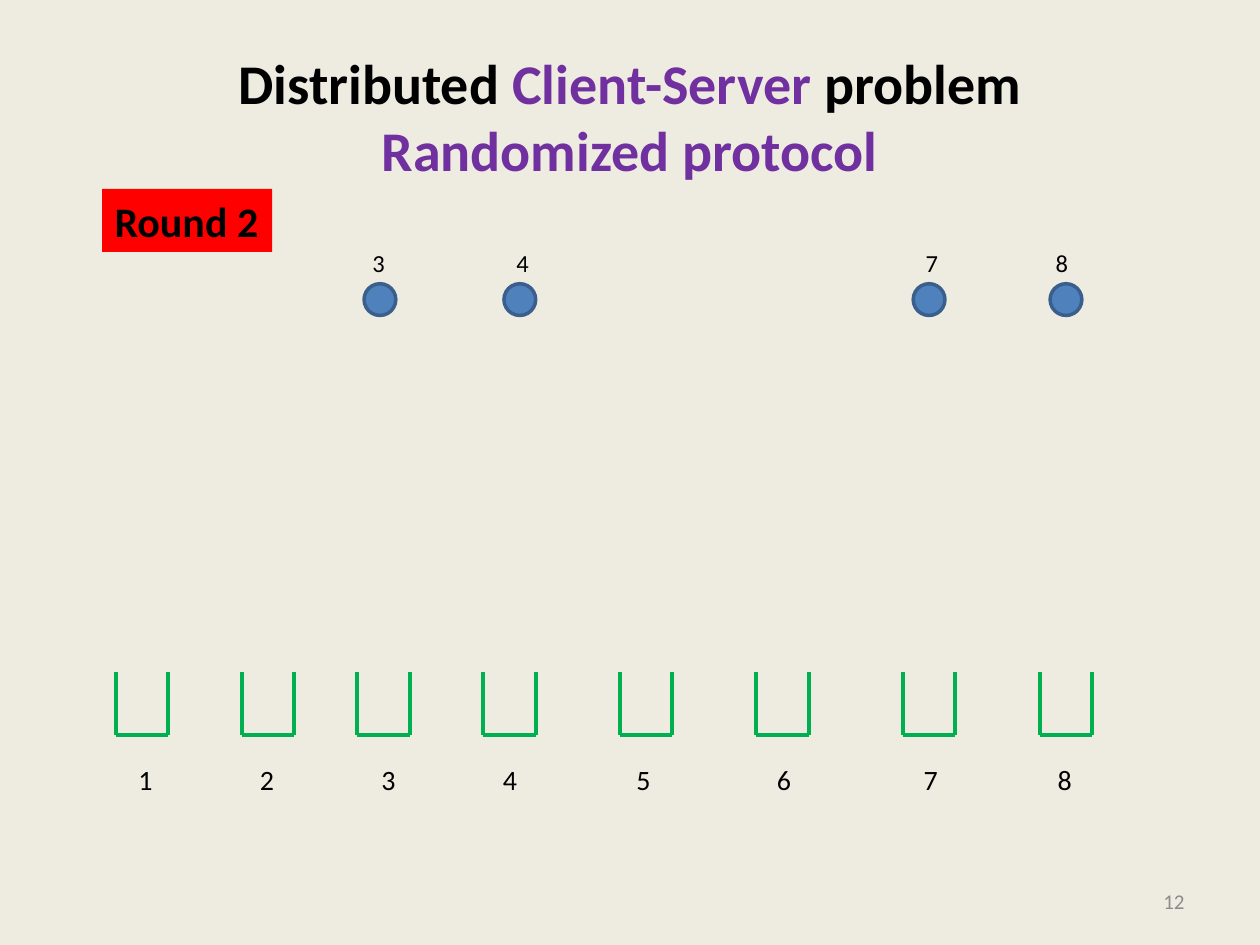
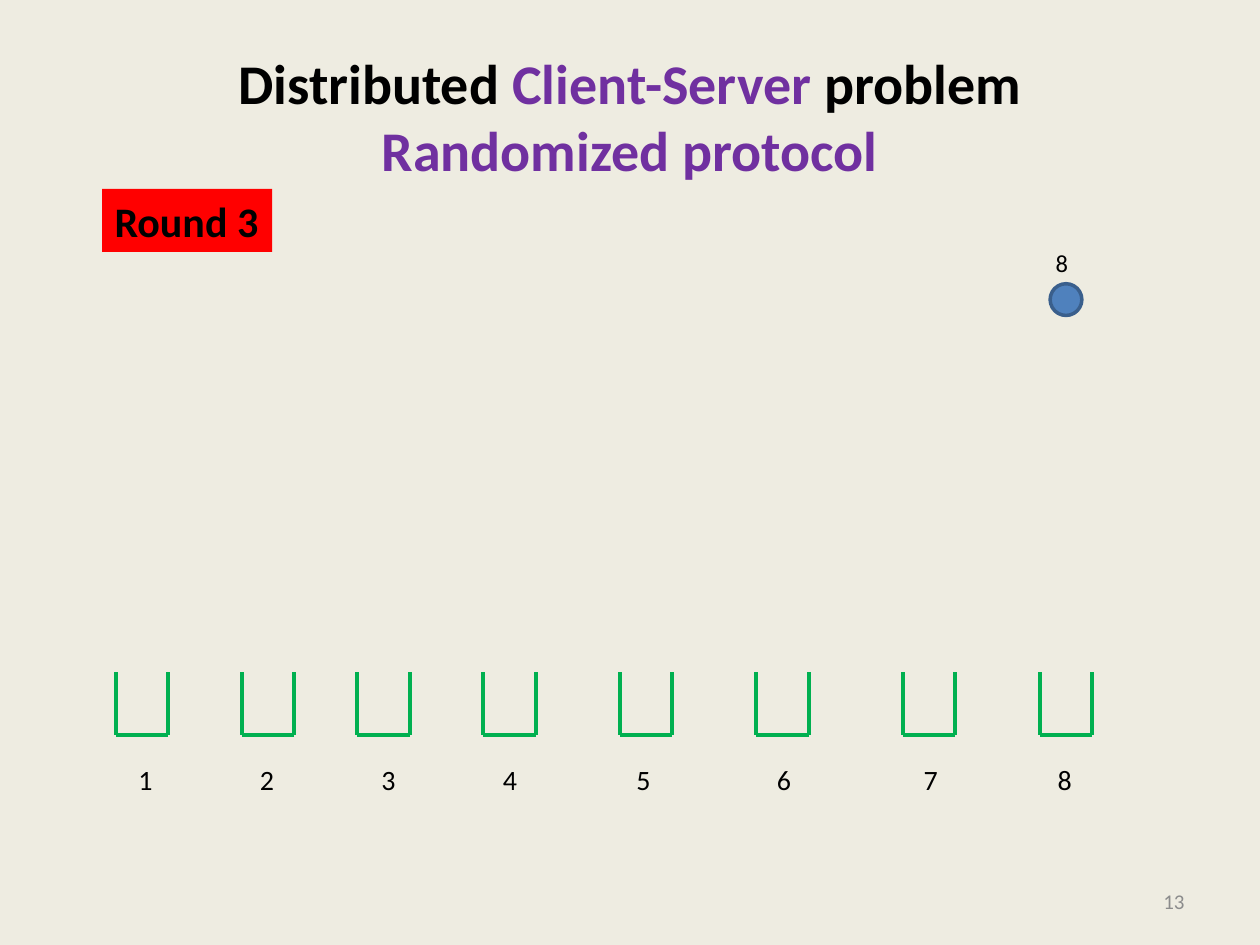
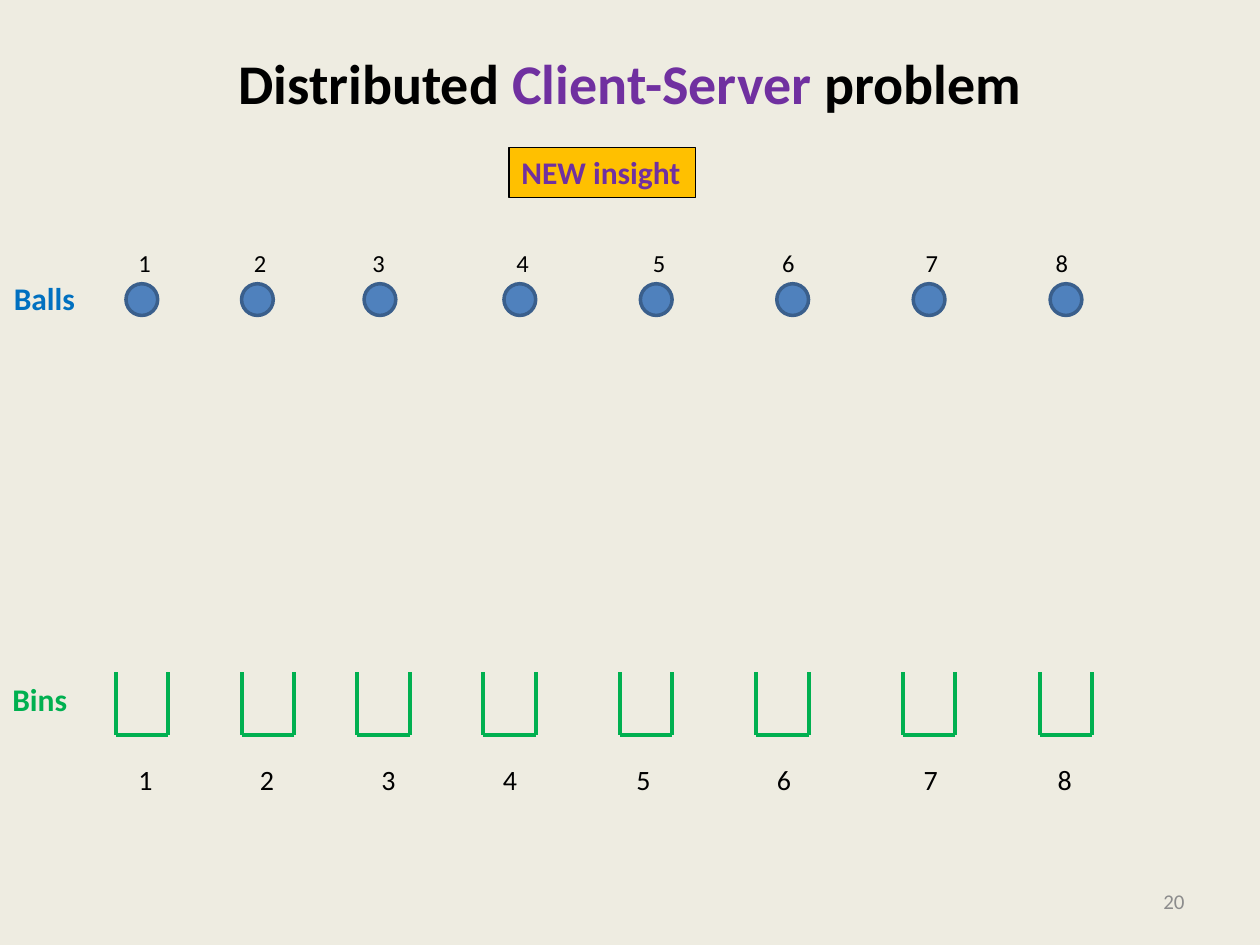
from dataclasses import dataclass
from typing import Any, NamedTuple

from lxml import etree
from pptx import Presentation
from pptx.dml.color import RGBColor
from pptx.enum.shapes import MSO_CONNECTOR, MSO_SHAPE
from pptx.enum.text import MSO_ANCHOR, MSO_AUTO_SIZE, PP_ALIGN
from pptx.oxml.ns import qn
from pptx.util import Cm, Pt

RECT, OVAL = MSO_SHAPE.RECTANGLE, MSO_SHAPE.OVAL
STRAIGHT = MSO_CONNECTOR.STRAIGHT
TOP, MIDDLE = MSO_ANCHOR.TOP, MSO_ANCHOR.MIDDLE
LEFT, CENTER, RIGHT = PP_ALIGN.LEFT, PP_ALIGN.CENTER, PP_ALIGN.RIGHT
FIT_SHAPE = MSO_AUTO_SIZE.SHAPE_TO_FIT_TEXT

FONT = "Calibri"
COLORS = {
    "background": "EEECE1", "text": "000000", "accent": "7030A0",
    "page": "8C8C8C", "ball": "4F81BD", "ball_line": "3A5F8C",
    "balls": "0070C0", "bin": "00B050", "round": "FF0000", "insight": "FFC000",
}

BALL_TOP, BALL_SIZE, BALL_LABEL_TOP = 5.72, 0.64, 4.87
BIN_TOP, BIN_WIDTH, BIN_HEIGHT = 13.55, 1.06, 1.27
BIN_LABELS_LEFT, BIN_LABELS_TOP = 2.54, 15.24


class Run(NamedTuple):
    text: str
    color: str = "text"


class Box(NamedTuple):
    """A rectangle in centimetres."""
    left: float
    top: float
    width: float
    height: float


class Column(NamedTuple):
    """Left edges of a ball, its label and a bin; tab stop of the bin label."""
    ball: float
    ball_label: float
    bin: float
    bin_tab: float


@dataclass
class Badge:
    text: str
    box: Box
    fill: str
    color: str
    size: int
    line: str = ""


@dataclass
class SlideData:
    page: int
    balls: list[int]
    badge: Badge
    subtitle: str = ""
    row_names: bool = False


COLUMNS = {
    1: Column(2.54, 2.54, 2.33, 0),
    2: Column(4.87, 4.87, 4.87, 2.45),
    3: Column(7.34, 7.26, 7.2, 4.9),
    4: Column(10.16, 10.16, 9.74, 7.35),
    5: Column(12.91, 12.91, 12.49, 10.04),
    6: Column(15.66, 15.52, 15.24, 12.87),
    7: Column(18.41, 18.41, 18.2, 15.83),
    8: Column(21.17, 21.03, 20.96, 18.53),
}


def rgb(name: str) -> RGBColor:
    return RGBColor.from_string(COLORS[name])


def place(box: Box) -> list[int]:
    return [Cm(v) for v in box]


def add_run(p: Any, run: Run, size: int, bold: bool) -> None:
    r = p.add_run()
    r.text = run.text
    r.font.name, r.font.size, r.font.bold = FONT, Pt(size), bold
    r.font.color.rgb = rgb(run.color)


def write(sp: Any, runs: list[Run], size: int, bold: bool = False,
          align: Any = LEFT, anchor: Any = TOP, wrap: bool = False) -> Any:
    """Put the runs in the shape's first paragraph and return it."""
    tf = sp.text_frame
    tf.word_wrap = wrap
    tf.vertical_anchor = anchor
    if not wrap:
        tf.auto_size = FIT_SHAPE
    p = tf.paragraphs[0]
    p.alignment = align
    for run in runs:
        add_run(p, run, size, bold)
    return p


def add_text(shapes: Any, box: Box, run: Run, size: int, **style: Any) -> None:
    write(shapes.add_textbox(*place(box)), [run], size, **style)


def add_filled(shapes: Any, kind: Any, box: Box, fill: str,
               line: str = "", weight: float = 0) -> Any:
    sp = shapes.add_shape(kind, *place(box))
    sp.shadow.inherit = False
    sp.fill.solid()
    sp.fill.fore_color.rgb = rgb(fill)
    if line:
        sp.line.color.rgb = rgb(line)
        sp.line.width = Pt(weight)
    else:
        sp.line.fill.background()
    return sp


def add_title(s: Any, subtitle: str) -> None:
    sp = s.shapes.add_textbox(*place(Box(1.27, 0.76, 22.86, 3.18)))
    sp.text_frame.margin_top = Cm(0.21)
    runs = [Run("Distributed "), Run("Client-Server", "accent"), Run(" problem")]
    p = write(sp, runs, 32, bold=True, align=CENTER, wrap=True)
    if subtitle:
        p.add_line_break()
        add_run(p, Run(subtitle, "accent"), 32, True)


def add_ball(s: Any, number: int) -> None:
    col = COLUMNS[number]
    shapes = s.shapes.add_group_shape().shapes
    add_filled(shapes, OVAL, Box(col.ball, BALL_TOP, BALL_SIZE, BALL_SIZE),
               "ball", "ball_line", 2)
    add_text(shapes, Box(col.ball_label, BALL_LABEL_TOP, 0.76, 0.86),
             Run(str(number)), 14)


def add_bin(shapes: Any, left: float) -> None:
    right, bottom = left + BIN_WIDTH, BIN_TOP + BIN_HEIGHT
    for x1, y1, x2, y2 in ((left, BIN_TOP, left, bottom),
                           (right, BIN_TOP, right, bottom),
                           (left, bottom, right, bottom)):
        line = shapes.add_connector(STRAIGHT, Cm(x1), Cm(y1), Cm(x2), Cm(y2))
        line.line.color.rgb = rgb("bin")
        line.line.width = Pt(2.25)
        etree.SubElement(line._element.spPr, qn("a:effectLst"))


def add_bins(s: Any) -> None:
    """Draw the bins with one tabbed line of numbers below them."""
    shapes = s.shapes.add_group_shape().shapes
    for col in COLUMNS.values():
        add_bin(shapes, col.bin)
    sp = shapes.add_textbox(
        *place(Box(BIN_LABELS_LEFT, BIN_LABELS_TOP, 19.48, 0.94)))
    p = write(sp, [Run("\t".join(map(str, COLUMNS)))], 16, wrap=True)
    tabs = etree.SubElement(p._p.get_or_add_pPr(), qn("a:tabLst"))
    for col in list(COLUMNS.values())[1:]:
        etree.SubElement(tabs, qn("a:tab"), pos=str(Cm(col.bin_tab)), algn="l")


def add_badge(s: Any, badge: Badge) -> None:
    sp = add_filled(s.shapes, RECT, badge.box, badge.fill, badge.line, 0.75)
    write(sp, [Run(badge.text, badge.color)], badge.size, bold=True)


def add_slide(prs: Any, data: SlideData) -> None:
    s = prs.slides.add_slide(prs.slide_layouts[6])
    s.background.fill.solid()
    s.background.fill.fore_color.rgb = rgb("background")
    add_title(s, data.subtitle)
    add_text(s.shapes, Box(18.2, 17.65, 5.93, 1.02), Run(str(data.page), "page"),
             12, align=RIGHT, anchor=MIDDLE, wrap=True)
    for number in data.balls:
        add_ball(s, number)
    add_bins(s)
    if data.row_names:
        add_text(s.shapes, Box(0, 13.59, 1.63, 1.02), Run("Bins", "bin"), 18, bold=True)
        add_text(s.shapes, Box(0.03, 5.51, 1.75, 1.02), Run("Balls", "balls"), 18, bold=True)
    add_badge(s, data.badge)


def round_slide(page: int, number: int, balls: list[int]) -> SlideData:
    badge = Badge(f"Round {number}", Box(2.06, 3.81, 3.43, 1.27), "round", "text", 24)
    return SlideData(page, balls, badge, "Randomized protocol")


def main() -> None:
    prs = Presentation()
    prs.slide_width, prs.slide_height = Cm(25.4), Cm(19.05)
    insight = Badge("NEW insight", Box(10.26, 2.97, 3.76, 1.02),
                    "insight", "accent", 18, "text")
    for data in (round_slide(12, 2, [3, 4, 7, 8]),
                 round_slide(13, 3, [8]),
                 SlideData(20, list(COLUMNS), insight, row_names=True)):
        add_slide(prs, data)
    prs.save("out.pptx")


if __name__ == "__main__":
    main()
